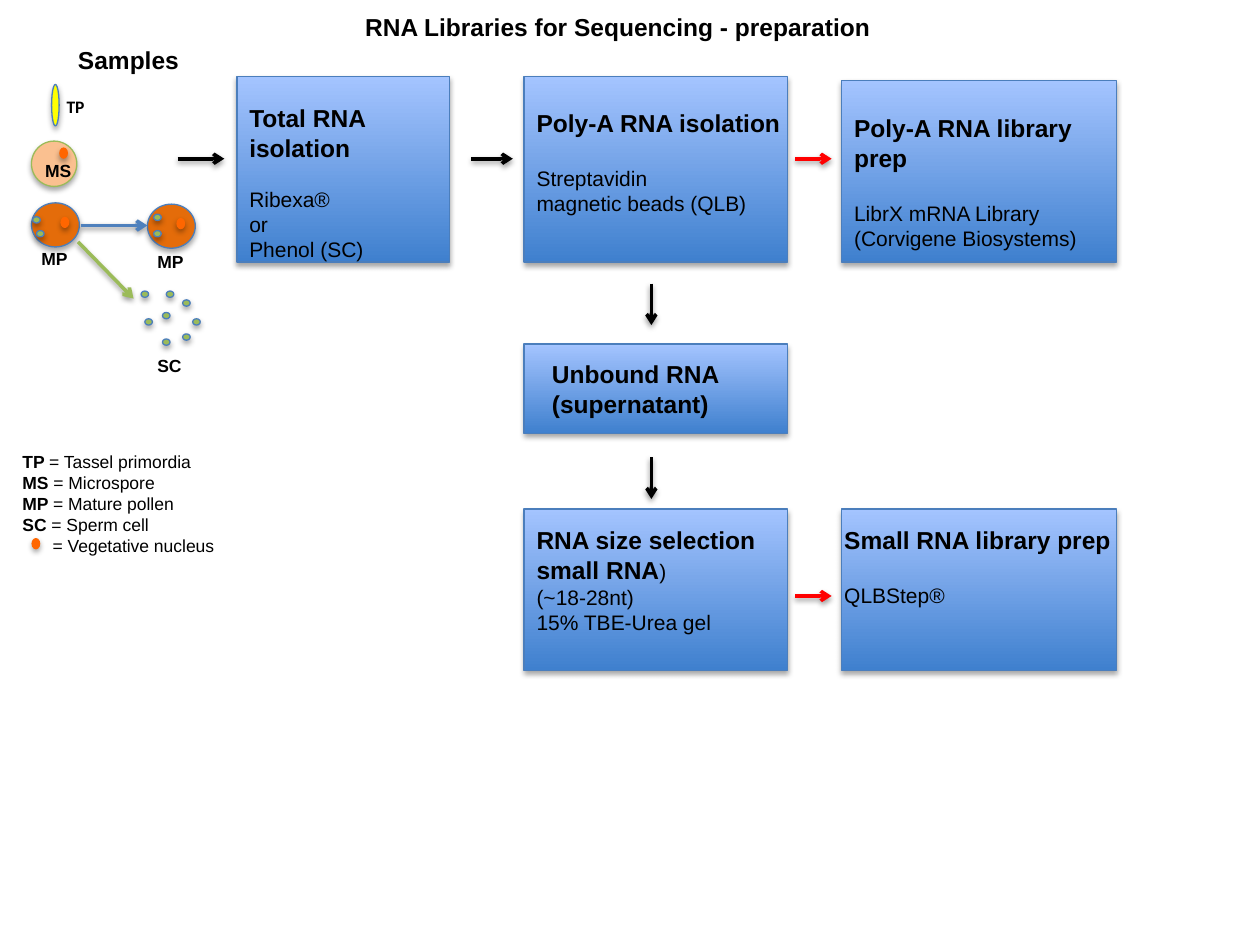
from lxml import etree
from pptx import Presentation
from pptx.dml.color import RGBColor
from pptx.enum.shapes import MSO_CONNECTOR, MSO_SHAPE
from pptx.enum.text import MSO_ANCHOR, MSO_AUTO_SIZE, PP_ALIGN
from pptx.oxml.ns import qn
from pptx.util import Pt

RECTANGLE, OVAL = MSO_SHAPE.RECTANGLE, MSO_SHAPE.OVAL
STRAIGHT = MSO_CONNECTOR.STRAIGHT
TOP, LEFT = MSO_ANCHOR.TOP, PP_ALIGN.LEFT
FIT_TEXT = MSO_AUTO_SIZE.SHAPE_TO_FIT_TEXT
EMU_PER_PX = 9144  # 100 px to the inch

BLACK, RED, BLUE, GREEN = "000000", "FF0000", "4F81BD", "9BBB59"
OUTLINE, POLLEN, NUCLEUS = "4B7EBC", "E46C0A", "FF6600"
HEAD, BODY, SMALL = 14, 12, 10


def px(value):
    return int(value * EMU_PER_PX)


def rgb(hex_string):
    return RGBColor.from_string(hex_string)


class Diagram:
    """Holds the style and the slide being drawn."""

    font = "Arial"

    def __init__(self, slide):
        self.slide = slide

    def cast_shadow(self, item, alpha, distance):
        effects = etree.SubElement(item._element.spPr, qn("a:effectLst"))
        shadow = etree.SubElement(
            effects, qn("a:outerShdw"), blurRad=str(Pt(3.1)), dist=str(Pt(distance)),
            dir="5400000", rotWithShape="0")
        color = etree.SubElement(shadow, qn("a:srgbClr"), val=BLACK)
        etree.SubElement(color, qn("a:alpha"), val=str(alpha * 1000))

    def add_span(self, para, text, size, bold, font=None):
        span = para.add_run()
        span.text = text
        span.font.name = font or self.font
        span.font.size = Pt(size)
        span.font.bold = bold
        span.font.color.rgb = rgb(BLACK)

    def add_paragraphs(self, frame, paragraphs, font=None):
        """Each paragraph is (space before in points, [(text, size, bold), ...])."""
        for index, (space, spans) in enumerate(paragraphs):
            para = frame.add_paragraph() if index else frame.paragraphs[0]
            para.alignment = LEFT
            para.space_before = Pt(space)
            for text, size, bold in spans:
                self.add_span(para, text, size, bold, font)

    def outline(self, shape, color):
        if color:
            shape.line.color.rgb = rgb(color)
            shape.line.width = Pt(0.75)
        else:
            shape.line.fill.background()
        self.cast_shadow(shape, 35, 1.8)

    def step(self, left, top, width, height, inset_left, inset_top, paragraphs):
        """Gradient process box with its text."""
        box = self.slide.shapes.add_shape(
            RECTANGLE, px(left), px(top), px(width), px(height))
        box.fill.gradient()
        box.fill.gradient_angle = 90
        for stop, color in zip(box.fill.gradient_stops, ("3F80CE", "A4C4FF")):
            stop.color.rgb = rgb(color)
        self.outline(box, OUTLINE)
        frame = box.text_frame
        frame.word_wrap = True
        frame.vertical_anchor = TOP
        frame.margin_left, frame.margin_top = px(inset_left), px(inset_top)
        frame.margin_right = frame.margin_bottom = 0
        self.add_paragraphs(frame, paragraphs)

    def oval(self, left, top, width, height, fill, line=OUTLINE):
        shape = self.slide.shapes.add_shape(
            OVAL, px(left), px(top), px(width), px(height))
        shape.fill.solid()
        shape.fill.fore_color.rgb = rgb(fill)
        self.outline(shape, line)

    def sperm_cell(self, left, top):
        self.oval(left, top, 6, 5, GREEN)

    def nucleus(self, left, top):
        self.oval(left, top, 7, 9, NUCLEUS, None)

    def text_box(self, left, top, width, height, paragraphs, wrap=False, font=None):
        box = self.slide.shapes.add_textbox(px(left), px(top), px(width), px(height))
        frame = box.text_frame
        frame.word_wrap = wrap
        frame.auto_size = FIT_TEXT
        self.add_paragraphs(frame, paragraphs, font)

    def label(self, left, top, width, height, text, size=SMALL, bold=True, font=None):
        self.text_box(left, top, width, height, [(0, [(text, size, bold)])], font=font)

    def arrow(self, x1, y1, x2, y2, color=BLACK):
        connector = self.slide.shapes.add_connector(
            STRAIGHT, px(x1), px(y1), px(x2), px(y2))
        connector.line.color.rgb = rgb(color)
        connector.line.width = Pt(2)
        outline = connector._element.spPr.find(qn("a:ln"))
        etree.SubElement(outline, qn("a:tailEnd"), type="arrow")
        self.cast_shadow(connector, 38, 1.6)


def heading(text):
    return 0, [(text, HEAD, True)]


def detail(text, space=0):
    return space, [(text, BODY, False)]


def draw_workflow(diagram):
    diagram.step(188, 61, 169, 147, 10, 21, [
        heading("Total RNA isolation"), detail("Ribexa®", 14),
        detail("or"), detail("Phenol (SC)")])
    diagram.step(416, 61, 209, 147, 10, 25, [
        heading("Poly-A RNA isolation"), detail("Streptavidin", 16),
        detail("magnetic beads (QLB)")])
    diagram.step(668, 64, 218, 144, 10, 26, [
        heading("Poly-A RNA library prep"), detail("LibrX mRNA Library", 16),
        detail("(Corvigene Biosystems)")])
    diagram.step(416, 273, 209, 71, 22, 12, [
        heading("Unbound RNA"), heading("(supernatant)")])
    diagram.step(416, 404, 209, 128, 10, 13, [
        heading("RNA size selection"),
        (0, [("small RNA", HEAD, True), (")", BODY, False)]),
        detail("(~18-28nt)"), detail("15% TBE-Urea gel")])
    diagram.step(668, 404, 218, 128, 2, 13, [
        heading("Small RNA library prep"), detail("QLBStep®", 16)])

    diagram.arrow(141, 126, 178, 126)
    diagram.arrow(374, 126, 407, 126)
    for y in (126, 473):
        diagram.arrow(631, y, 660, y, RED)
    for y in (225, 363):
        diagram.arrow(517, y, 517, y + 33)


def draw_samples(diagram):
    diagram.label(52, 31, 101, 34, "Samples", HEAD)
    diagram.oval(41, 67, 6, 33, "FFFF00")
    diagram.oval(25, 112, 36, 36, "FAC090", GREEN)
    diagram.nucleus(47, 117)
    diagram.oval(25, 161, 38, 35, POLLEN)
    diagram.oval(117, 162, 38, 35, POLLEN)
    diagram.nucleus(48, 172)
    diagram.nucleus(140, 173)

    in_pollen = [(26, 172), (29, 183), (122, 170), (122, 183)]
    released = [(112, 231), (132, 231), (145, 238), (115, 253),
                (129, 248), (153, 253), (145, 265), (129, 269)]
    for left, top in in_pollen + released:
        diagram.sperm_cell(left, top)

    diagram.arrow(64, 179, 117, 179, BLUE)
    diagram.arrow(62, 192, 106, 237, GREEN)
    diagram.label(43, 71, 34, 27, "TP", font="Calibri")
    for text, left, top in (("MS", 26, 122), ("MP", 23, 192),
                            ("MP", 115, 194), ("SC", 115, 277)):
        diagram.label(left, top, 41, 27, text)


def draw_legend(diagram):
    terms = {"TP": "Tassel primordia", "MS": "Microspore",
             "MP": "Mature pollen", "SC": "Sperm cell"}
    diagram.text_box(8, 353, 283, 77, [
        (0, [(f"{short} ", SMALL, True), (f"= {meaning}", SMALL, False)])
        for short, meaning in terms.items()], wrap=True)
    diagram.nucleus(25, 427)
    diagram.label(32, 420, 150, 27, "= Vegetative nucleus", bold=False)


def main():
    deck = Presentation()
    deck.slide_width, deck.slide_height = px(1000), px(750)
    page = deck.slides.add_slide(deck.slide_layouts[6])
    diagram = Diagram(page)
    diagram.label(280, 5, 424, 34, "RNA Libraries for Sequencing - preparation", HEAD)
    draw_workflow(diagram)
    draw_samples(diagram)
    draw_legend(diagram)
    deck.save("out.pptx")


if __name__ == "__main__":
    main()
